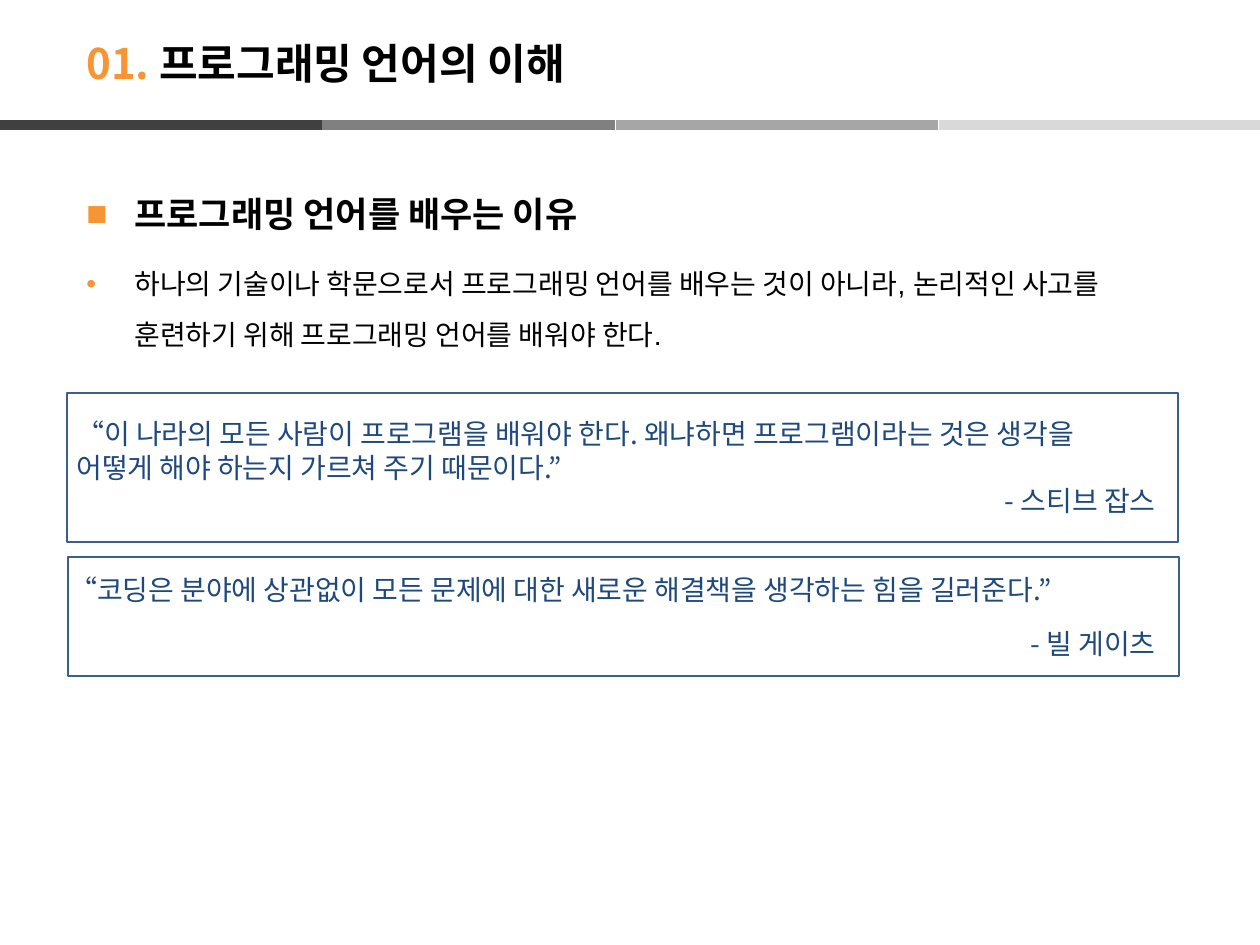
from dataclasses import dataclass

from lxml import etree
from pptx import Presentation
from pptx.dml.color import RGBColor
from pptx.enum.shapes import MSO_CONNECTOR, MSO_SHAPE
from pptx.enum.text import MSO_ANCHOR, PP_ALIGN
from pptx.oxml.ns import qn
from pptx.util import Emu, Pt

STRAIGHT = MSO_CONNECTOR.STRAIGHT
RECTANGLE = MSO_SHAPE.RECTANGLE
TOP, MIDDLE = MSO_ANCHOR.TOP, MSO_ANCHOR.MIDDLE
RIGHT = PP_ALIGN.RIGHT
EMU_PER_PX = 914400 // 126


@dataclass(frozen=True)
class Theme:
    accent: str = "F79433"
    ink: str = "000000"
    quote: str = "1F497D"
    frame: str = "3A5F8C"
    bar: tuple = ("404040", "808080", "A6A6A6", "D9D9D9")
    korean: str = "Noto Sans CJK KR"
    latin: str = "Arial"
    title_size: int = 24
    heading_size: int = 20
    text_size: int = 16
    bar_weight: int = 6
    frame_weight: float = 0.75


THEME = Theme()


def px(length):
    return Emu(length * EMU_PER_PX)


def rgb(value):
    return RGBColor.from_string(value)


def set_values(target, values):
    for name, value in values.items():
        setattr(target, name, value)


def add_bar(page, top, step, length):
    """Draw the divider; the first segment goes on top of the second."""
    for index in (1, 2, 3, 0):
        end = index * step + length
        start = end - length if index == 0 else index * step - 30
        if index:
            end = start + length
        line = page.shapes.add_connector(
            STRAIGHT, px(start), px(top), px(end), px(top))
        line.line.color.rgb = rgb(THEME.bar[index])
        line.line.width = Pt(THEME.bar_weight)
        etree.SubElement(line._element.spPr, qn("a:effectLst"))


def add_frame(page, left, top, width, height):
    frame = page.shapes.add_shape(
        RECTANGLE, px(left), px(top), px(width), px(height))
    frame.shadow.inherit = False
    frame.fill.background()
    frame.line.color.rgb = rgb(THEME.frame)
    frame.line.width = Pt(THEME.frame_weight)


def add_text_box(page, left, top, width, height, anchor):
    box = page.shapes.add_textbox(px(left), px(top), px(width), px(height))
    set_values(box.text_frame, {"word_wrap": True, "vertical_anchor": anchor})
    return box.text_frame


def add_span(para, text, size, color, latin=THEME.korean, bold=False):
    span = para.add_run()
    span.text = text
    set_values(span.font, {"size": Pt(size), "bold": bold, "name": latin})
    span.font.color.rgb = rgb(color)
    east_asian = etree.SubElement(span._r.get_or_add_rPr(), qn("a:ea"))
    east_asian.set("typeface", THEME.korean)


def add_bullet(para, mark, indent):
    properties = para._p.get_or_add_pPr()
    properties.set("marL", str(px(indent)))
    properties.set("indent", str(-px(indent)))
    color = etree.SubElement(properties, qn("a:buClr"))
    etree.SubElement(color, qn("a:srgbClr")).set("val", THEME.accent)
    etree.SubElement(properties, qn("a:buFont")).set("typeface", THEME.latin)
    etree.SubElement(properties, qn("a:buChar")).set("char", mark)


def add_title(page, number, text):
    para = add_text_box(page, 74, 25, 942, 76, MIDDLE).paragraphs[0]
    add_span(para, number, THEME.title_size, THEME.accent, bold=True)
    add_span(para, text, THEME.title_size, THEME.ink, bold=True)


def add_point(page, area, mark, text, size, gap=0, bold=False):
    para = add_text_box(page, *area, TOP).paragraphs[0]
    set_values(para, {"line_spacing": 1.5, "space_before": Pt(gap),
                      "space_after": Pt(gap)})
    add_bullet(para, mark, 48)
    add_span(para, text, size, THEME.ink, THEME.latin, bold)


def add_quote(page, frame, area, quote, speaker, quote_gap, speaker_gap):
    add_frame(page, *frame)
    body = add_text_box(page, *area, MIDDLE)
    said, signed = body.paragraphs[0], body.add_paragraph()
    said.space_before = Pt(quote_gap)
    set_values(signed, {"space_before": Pt(speaker_gap), "alignment": RIGHT})
    for para, text in ((said, quote), (signed, speaker)):
        add_span(para, text, THEME.text_size, THEME.quote)


def main():
    deck = Presentation()
    set_values(deck, {"slide_width": px(1260), "slide_height": px(945)})
    page = deck.slides.add_slide(deck.slide_layouts[6])

    add_bar(page, top=125, step=323, length=322)
    add_title(page, "01. ", "프로그래밍 언어의 이해")
    add_point(page, (74, 165, 1131, 79), "■", "프로그래밍 언어를 배우는 이유",
              THEME.heading_size, bold=True)
    add_point(page, (74, 244, 1071, 100), "•",
              "하나의 기술이나 학문으로서 프로그래밍 언어를 배우는 것이 아니라, "
              "논리적인 사고를 훈련하기 위해 프로그래밍 언어를 배워야 한다.",
              THEME.text_size, gap=5)
    add_quote(page, (68, 557, 1111, 119), (57, 572, 1111, 89),
              "“코딩은 분야에 상관없이 모든 문제에 대한 새로운 해결책을 "
              "생각하는 힘을 길러준다.”",
              "- 빌 게이츠", quote_gap=12, speaker_gap=12)
    add_quote(page, (67, 393, 1111, 149), (64, 408, 1104, 118),
              "“이 나라의 모든 사람이 프로그램을 배워야 한다. 왜냐하면 "
              "프로그램이라는 것은 생각을 어떻게 해야 하는지 가르쳐 주기 때문이다.”",
              "- 스티브 잡스", quote_gap=6, speaker_gap=0)

    deck.save("out.pptx")


if __name__ == "__main__":
    main()
